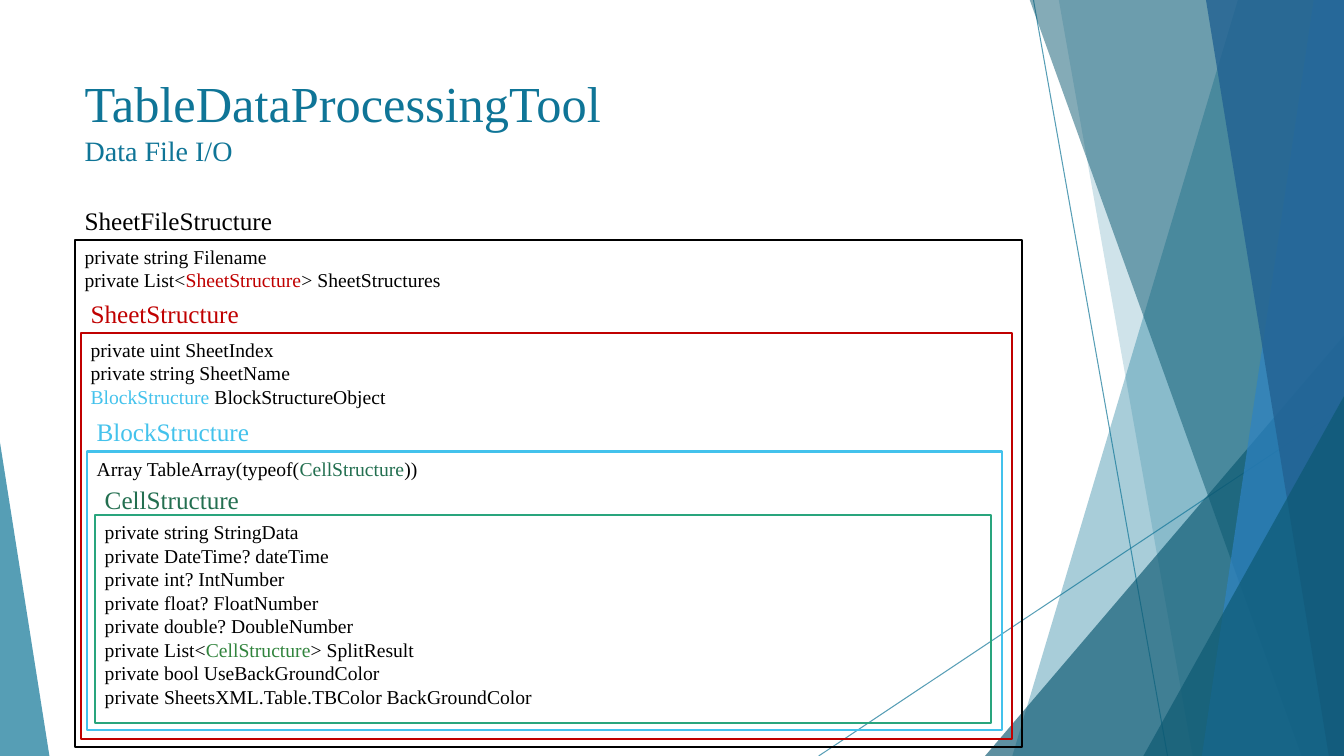
"""Build the slide on the nested data file structures of TableDataProcessingTool."""
import pptx
import pptx.util
import pptx.dml.color
import pptx.enum.shapes
import pptx.enum.text
import pptx.oxml.ns
from lxml import etree

Inches = pptx.util.Inches
Pt = pptx.util.Pt
qn = pptx.oxml.ns.qn
FONT = "Times New Roman"
BLACK, TEAL, DARK_TEAL = "000000", "0F7597", "0B5871"
RED, SKY, GREEN = "C00000", "43C2EC", "236F50"
WIDTH, HEIGHT = 13.33, 7.5


def paint(color_format, color, shape=None, opacity=100):
    color_format.rgb = pptx.dml.color.RGBColor.from_string(color)
    if opacity < 100:
        element = shape.element.spPr.find(".//" + qn("a:srgbClr"))
        etree.SubElement(element, qn("a:alpha"), val=str(opacity * 1000))


def write(text_frame, lines, size):
    text_frame.word_wrap = True
    text_frame.vertical_anchor = pptx.enum.text.MSO_ANCHOR.TOP
    for number, line in enumerate(lines):
        paragraph = text_frame.add_paragraph() if number else text_frame.paragraphs[0]
        paragraph.alignment = pptx.enum.text.PP_ALIGN.LEFT
        for text, color in line:
            run = paragraph.add_run()
            run.text = text
            run.font.name = FONT
            run.font.size = Pt(size)
            paint(run.font.color, color)


presentation = pptx.Presentation()
presentation.slide_width = Inches(WIDTH)
presentation.slide_height = Inches(HEIGHT)
slide = presentation.slides.add_slide(presentation.slide_layouts[5])
shapes = slide.shapes

for ends in [(10.25, 0, 11.58, HEIGHT), (WIDTH, 4.03, 8.12, HEIGHT)]:
    connector = shapes.add_connector(
        pptx.enum.shapes.MSO_CONNECTOR.STRAIGHT, *[Inches(value) for value in ends])
    connector.line.width = Pt(0.75)
    paint(connector.line.color, TEAL, connector, 70)
    etree.SubElement(connector.element.spPr, qn("a:effectLst"))

facets = [
    ("band", (12.28, 10.04), TEAL, 36),
    ("band", (10.5, 11.83), TEAL, 20),
    ("triangle", (9.77, 3.33, 3.56, 1), DARK_TEAL, 66),
    ("band", (10.21, 12.91), DARK_TEAL, 50),
    ("band", (13.03, 11.92), "2E83C3", 70),
    ("band", (11.96, 13.18), "226292", 80),
    ("triangle", (11.34, 3.93, 1.99, 1), DARK_TEAL, 66),
    ("triangle", (0, 4.39, 0.49, 0), TEAL, 70),
]
for kind, geometry, color, opacity in facets:
    if kind == "band":
        top_left, bottom_left = geometry
        builder = shapes.build_freeform(Inches(top_left), Inches(-0.01))
        corners = [(WIDTH, -0.01), (WIDTH, HEIGHT), (bottom_left, HEIGHT)]
        builder.add_line_segments([(Inches(x), Inches(y)) for x, y in corners], close=True)
        facet = builder.convert_to_shape()
    else:
        left, top, width, apex = geometry
        facet = shapes.add_shape(
            pptx.enum.shapes.MSO_SHAPE.ISOSCELES_TRIANGLE,
            Inches(left), Inches(top), Inches(width), Inches(HEIGHT - top))
        facet.adjustments[0] = apex
    facet.shadow.inherit = False
    facet.line.fill.background()
    facet.fill.solid()
    paint(facet.fill.fore_color, color, facet, opacity)

title = shapes.title
title.left, title.top = Inches(0.74), Inches(0.67)
title.width, title.height = Inches(9.4), Inches(1.44)
title.text_frame.text = "TableDataProcessingTool\vData File I/O"
title.text_frame.word_wrap = True
title.text_frame.vertical_anchor = pptx.enum.text.MSO_ANCHOR.TOP
title.text_frame.paragraphs[0].alignment = pptx.enum.text.PP_ALIGN.LEFT
for run, size in zip(title.text_frame.paragraphs[0].runs, (36, 20)):
    run.font.name = FONT
    run.font.size = Pt(size)
    paint(run.font.color, TEAL)

structures = [
    ("SheetFileStructure", BLACK, BLACK, 1.99, (0.74, 2.38, 9.4, 5.03), [
        [("private string Filename", BLACK)],
        [("private List<", BLACK), ("SheetStructure", RED), ("> SheetStructures", BLACK)],
    ]),
    ("SheetStructure", RED, RED, 2.91, (0.8, 3.3, 9.24, 4.03), [
        [("private uint SheetIndex", BLACK)],
        [("private string SheetName", BLACK)],
        [("BlockStructure ", SKY), ("BlockStructureObject", BLACK)],
    ]),
    ("BlockStructure", SKY, SKY, 4.08, (0.86, 4.48, 9.08, 2.76), [
        [("Array TableArray(typeof(", BLACK), ("CellStructure", GREEN), ("))", BLACK)],
    ]),
    ("CellStructure", GREEN, "29A57D", 4.76, (0.94, 5.11, 8.89, 2.06), [
        [("private string StringData", BLACK)],
        [("private DateTime? dateTime", BLACK)],
        [("private int? IntNumber", BLACK)],
        [("private float? FloatNumber", BLACK)],
        [("private double? DoubleNumber", BLACK)],
        [("private List<", BLACK), ("CellStructure", "31843D"), ("> SplitResult", BLACK)],
        [("private bool UseBackGroundColor", BLACK)],
        [("private SheetsXML.Table.TBColor BackGroundColor", BLACK)],
    ]),
]
for name, name_color, line_color, name_top, bounds, members in structures:
    box = shapes.add_shape(
        pptx.enum.shapes.MSO_SHAPE.RECTANGLE, *[Inches(value) for value in bounds])
    box.shadow.inherit = False
    box.fill.background()
    box.line.width = Pt(1.5)
    paint(box.line.color, line_color)
    write(box.text_frame, members, 14)
    label = shapes.add_textbox(
        Inches(bounds[0]), Inches(name_top), Inches(3.76 - bounds[0]), Inches(0.37))
    write(label.text_frame, [[(name, name_color)]], 18)

presentation.save("out.pptx")
